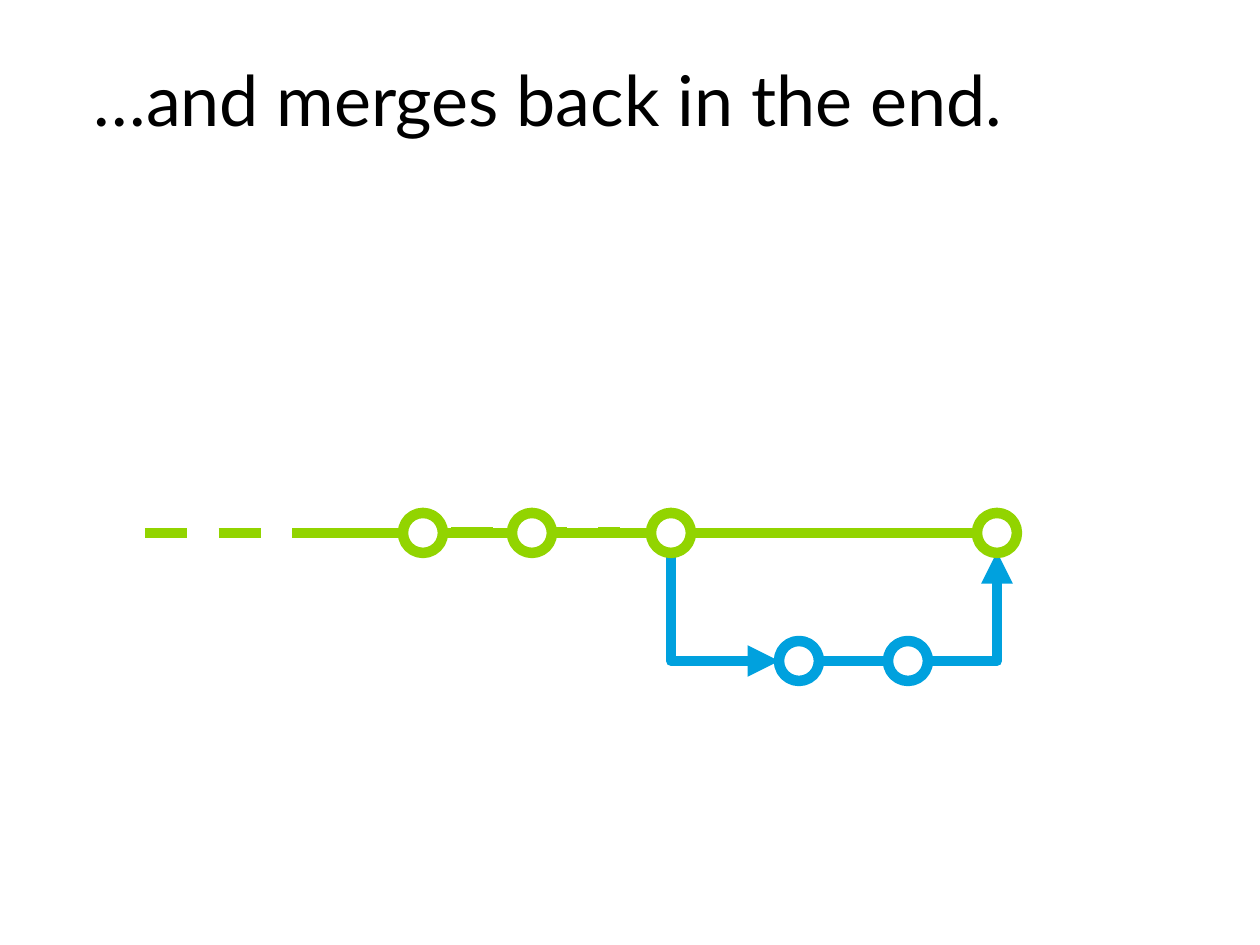
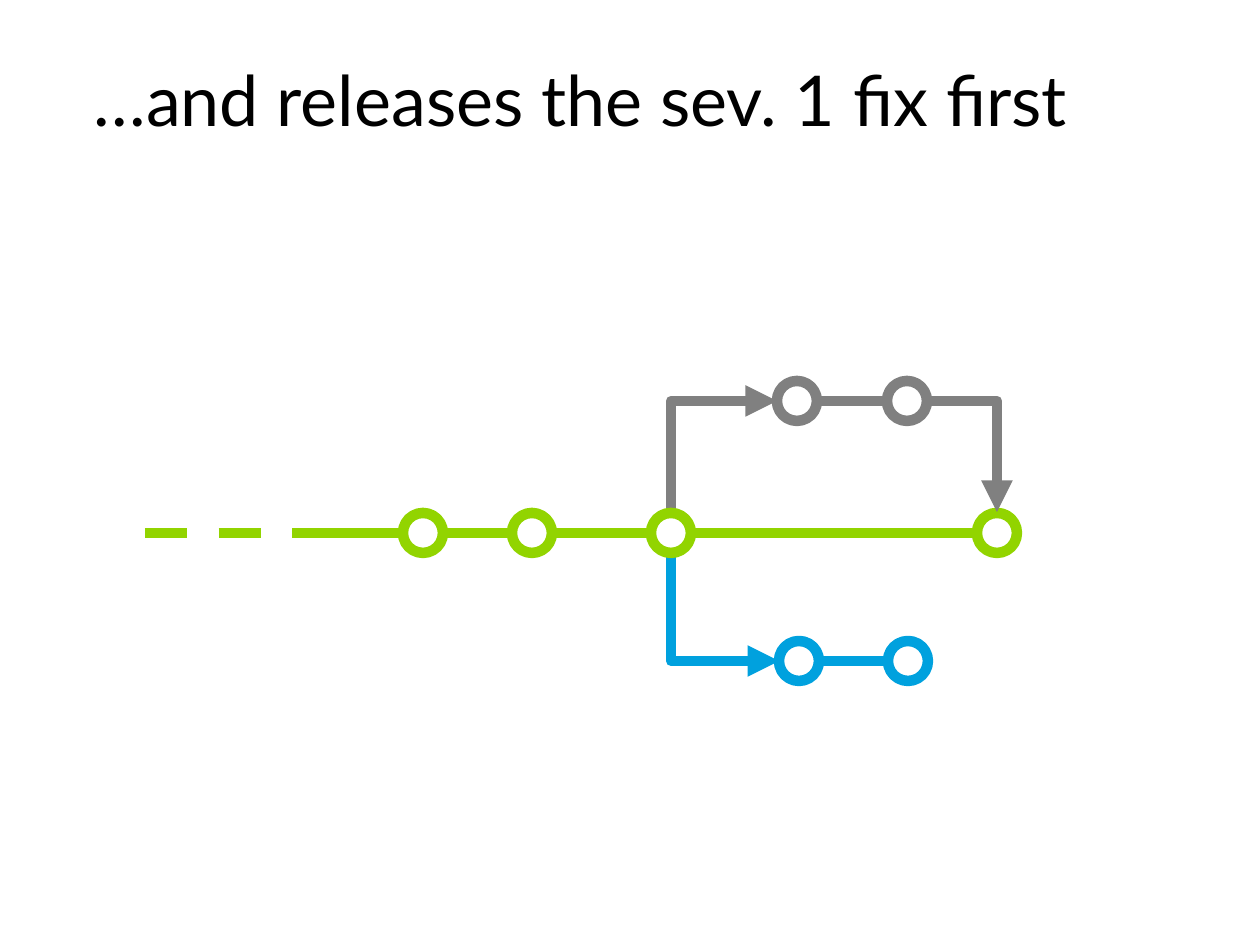
"""Build two slides that show branches leaving and merging back into a trunk."""
from lxml.etree import SubElement
from pptx import Presentation
from pptx.dml.color import RGBColor
from pptx.enum.dml import MSO_LINE
from pptx.enum.shapes import MSO_CONNECTOR, MSO_SHAPE
from pptx.enum.text import MSO_ANCHOR, PP_ALIGN
from pptx.oxml.ns import qn
from pptx.util import Emu, Pt

COLORS = {"trunk": "92D400", "feature": "00A1DE", "fix": "808080", "paper": "FFFFFF", "ink": "000000"}
FONT = "Lato"
PIXEL = 914400 / 126
SLIDE_SIZE = (1260, 945)
TITLE_BOX = (81, 19, 1100, 158)
RADIUS = 20
LINE_WIDTH = Pt(6)

TRUNK_Y = 533
TRUNK_START, TRUNK_SOLID = 145, 314
TRUNK_COMMITS = (423, 532, 671, 997)
FORK_X, MERGE_X = TRUNK_COMMITS[-2:]
OLD_TRUNK = (451, 620, TRUNK_Y - 1)
BRANCHES = {
    "feature": {"y": 661, "commits": (799, 908)},
    "fix": {"y": 401, "commits": (797, 907)},
}

SLIDES = [
    {
        "title": "…and merges back in the end.",
        "steps": [("branch", "feature"), ("merge", "feature"), ("old trunk", None), ("trunk", None)],
    },
    {
        "title": "…and releases the sev. 1 fix first",
        "steps": [("branch", "fix"), ("branch", "feature"), ("trunk", None), ("merge", "fix")],
    },
]


def px(value):
    return Emu(round(value * PIXEL))


def color(name):
    return RGBColor.from_string(COLORS[name])


def add_line(page, start, end, name, kind=MSO_CONNECTOR.STRAIGHT, dashed=False):
    line = page.shapes.add_connector(kind, *map(px, (*start, *end)))
    line.line.color.rgb = color(name)
    line.line.width = LINE_WIDTH
    if dashed:
        line.line.dash_style = MSO_LINE.DASH
    SubElement(line._element.spPr, qn("a:effectLst"))
    return line


def add_elbow(page, start, end, name, vertical_first=False):
    (left, top), (right, bottom) = start, end
    if vertical_first:
        middle_x, middle_y = (left + right) / 2, (top + bottom) / 2
        half_width, half_height = (bottom - top) / 2, (right - left) / 2
        start = (middle_x + half_width, middle_y - half_height)
        end = (middle_x - half_width, middle_y + half_height)
    elbow = add_line(page, start, end, name, MSO_CONNECTOR.ELBOW)
    properties = elbow._element.spPr
    properties.find(qn("a:prstGeom")).set("prst", "bentConnector2")
    if vertical_first:
        properties.find(qn("a:xfrm")).set("rot", str(270 * 60000))
    SubElement(properties.find(qn("a:ln")), qn("a:tailEnd"), type="triangle")


def add_commits(page, centers, y, name):
    for x in centers:
        commit = page.shapes.add_shape(
            MSO_SHAPE.OVAL, px(x - RADIUS), px(y - RADIUS), px(2 * RADIUS), px(2 * RADIUS)
        )
        commit.shadow.inherit = False
        commit.fill.solid()
        commit.fill.fore_color.rgb = color("paper")
        commit.line.color.rgb = color(name)
        commit.line.width = LINE_WIDTH


def add_trunk(page):
    solid_start = (TRUNK_SOLID, TRUNK_Y)
    add_line(page, solid_start, (MERGE_X, TRUNK_Y), "trunk")
    add_line(page, (TRUNK_START, TRUNK_Y), solid_start, "trunk", dashed=True)
    add_commits(page, TRUNK_COMMITS, TRUNK_Y, "trunk")


def trunk_edge(y):
    return TRUNK_Y + (RADIUS if y > TRUNK_Y else -RADIUS)


def add_branch(page, name):
    y, commits = BRANCHES[name]["y"], BRANCHES[name]["commits"]
    add_elbow(page, (FORK_X, trunk_edge(y)), (commits[0] - RADIUS, y), name, vertical_first=True)
    add_line(page, (commits[0] + RADIUS, y), (commits[-1], y), name)
    add_commits(page, commits, y, name)


def add_merge(page, name):
    y, commits = BRANCHES[name]["y"], BRANCHES[name]["commits"]
    add_elbow(page, (commits[-1] + RADIUS, y), (MERGE_X, trunk_edge(y) - 1), name)


def set_title(page, text):
    title = page.shapes.title
    title.left, title.top, title.width, title.height = map(px, TITLE_BOX)
    frame = title.text_frame
    frame.text = text
    frame.word_wrap = True
    frame.vertical_anchor = MSO_ANCHOR.MIDDLE
    paragraph = frame.paragraphs[0]
    paragraph.alignment = PP_ALIGN.LEFT
    paragraph.font.name = FONT
    paragraph.font.size = Pt(40)
    paragraph.font.color.rgb = color("ink")


def main():
    deck = Presentation()
    deck.slide_width, deck.slide_height = map(px, SLIDE_SIZE)
    for content in SLIDES:
        page = deck.slides.add_slide(deck.slide_layouts[5])
        set_title(page, content["title"])
        for step, name in content["steps"]:
            if step == "branch":
                add_branch(page, name)
            elif step == "merge":
                add_merge(page, name)
            elif step == "old trunk":
                left, right, y = OLD_TRUNK
                add_line(page, (left, y), (right, y), "trunk", dashed=True)
            else:
                add_trunk(page)
    deck.save("out.pptx")


if __name__ == "__main__":
    main()
